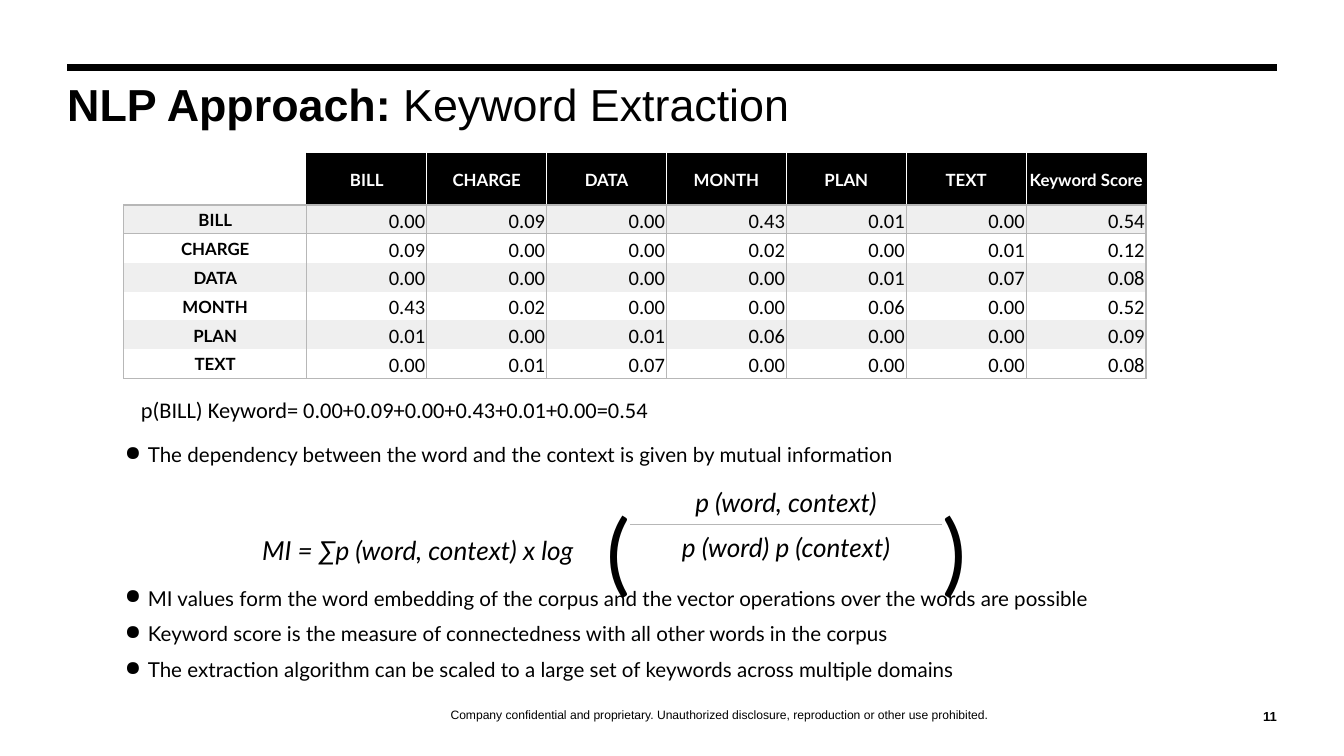
from lxml.etree import SubElement
from pptx import Presentation
from pptx.dml.color import RGBColor
from pptx.enum.shapes import MSO_CONNECTOR
from pptx.enum.text import MSO_ANCHOR, PP_ALIGN
from pptx.oxml.ns import qn
from pptx.util import Pt

PX = 2286  # EMU per px, 400 px to the inch
NO_STYLE = "{2D5ABB26-0587-4C30-8999-92F81FD0307C}"
HEX = {"black": "000000", "white": "FFFFFF", "grey": "B7B7B7", "band": "EFEFEF"}
LEFT, MID, RIGHT = PP_ALIGN.LEFT, PP_ALIGN.CENTER, PP_ALIGN.RIGHT
TOP, CENTER, BOTTOM = MSO_ANCHOR.TOP, MSO_ANCHOR.MIDDLE, MSO_ANCHOR.BOTTOM


def write(par, text, size, font, align=LEFT, bold=False, italic=False, color="black"):
    par.text = text
    par.alignment = align
    face = par.runs[0].font
    face.size, face.name, face.bold, face.italic = Pt(size), font, bold, italic
    face.color.rgb = RGBColor.from_string(HEX[color])


def edge(cell, **sides):
    """Draw cell borders; sides are L, R, T, B in that order, before any fill."""
    props = cell._tc.get_or_add_tcPr()
    for side, color in sides.items():
        line = SubElement(props, qn(f"a:ln{side}"), w=str(Pt(0.75)))
        fill = SubElement(line, qn("a:solidFill"))
        SubElement(fill, qn("a:srgbClr"), val=HEX[color])


prs = Presentation()
prs.slide_width, prs.slide_height = 4000 * PX, 2250 * PX
slide = prs.slides.add_slide(prs.slide_layouts[6])
shapes = slide.shapes

# Rule above the title
rule = shapes.add_connector(MSO_CONNECTOR.STRAIGHT, 200 * PX, 200 * PX, 3800 * PX, 200 * PX)
rule.line.width = Pt(3.75)
rule.line.color.rgb = RGBColor.from_string(HEX["black"])
SubElement(rule.element.spPr, qn("a:effectLst"))

# Text boxes: left, top, width, height, padding, anchor
places = {
    "footer": (584, 2016, 3116, 132, 0, BOTTOM),
    "title": (200, 260, 3100, 300, 0, TOP),
    "number": (3700, 2056, 100, 100, 0, BOTTOM),
    "body": (340, 1316, 3100, 816, 0, TOP),
    "sum": (304, 1160, 1688, 120, 1, TOP),
}
frames = {}
for name, (x, y, w, h, pad, anchor) in places.items():
    frame = shapes.add_textbox(x * PX, y * PX, w * PX, h * PX).text_frame
    frame.word_wrap = True
    frame.vertical_anchor = anchor
    frame.margin_left = frame.margin_right = 40 * pad * PX
    frame.margin_top = frame.margin_bottom = 20 * pad * PX
    frames[name] = frame

par = frames["footer"].paragraphs[0]
write(par, "Company confidential and proprietary. Unauthorized disclosure, "
      "reproduction or other use prohibited.", 6.5, "Arial", MID)
par.line_spacing = 1.14

par = frames["title"].paragraphs[0]
write(par, "NLP Approach: ", 24, "Arial", bold=True)
par.line_spacing = 0.8
run = par.add_run()
run.text = "Keyword Extraction"
run.font.size, run.font.name, run.font.bold = Pt(24), "Arial", False
run.font.color.rgb = RGBColor.from_string(HEX["black"])

write(frames["number"].paragraphs[0], "11", 7, "Arial", RIGHT, bold=True)

par = frames["sum"].paragraphs[0]
write(par, "p(BILL) Keyword= 0.00+0.09+0.00+0.43+0.01+0.00=0.54", 12, "Calibri")
par.space_after = Pt(4)
par._p.get_or_add_pPr().set("marL", str(76 * PX))

# Bullets; the second one leaves room for the formula
points = [
    ("The dependency between the word and the context is given by mutual information", 0),
    ("MI values form the word embedding of the corpus and the vector operations "
     "over the words are possible", 63.6),
    ("Keyword score is the measure of connectedness with all other words in the corpus", 6),
    ("The extraction algorithm can be scaled to a large set of keywords "
     "across multiple domains", 6),
]
body = frames["body"]
for i, (text, gap) in enumerate(points):
    par = body.paragraphs[0] if i == 0 else body.add_paragraph()
    props = par._p.get_or_add_pPr()
    props.set("marL", str(100 * PX))
    props.set("indent", str(-68 * PX))
    tint = SubElement(props, qn("a:buClr"))
    SubElement(tint, qn("a:srgbClr"), val=HEX["black"])
    SubElement(props, qn("a:buChar"), char="●")
    write(par, text, 11, "Lato")
    par.space_before = Pt(gap)

# Both tables: place, column widths, row heights
words = ["BILL", "CHARGE", "DATA", "MONTH", "PLAN", "TEXT"]
grids = []
for x, y, widths, heights in [
    (368, 456, [545] + [357] * 7, [154] + [86] * 6),
    (480, 1396, [1228, 168, 928, 168], [166, 166]),
]:
    item = shapes.add_table(len(heights), len(widths), x * PX, y * PX,
                            sum(widths) * PX, sum(heights) * PX)
    for style in item.element.iter(qn("a:tableStyleId")):
        style.text = NO_STYLE
    grid = item.table
    grid.first_row = grid.horz_banding = False
    for col, width in zip(grid.columns, widths):
        col.width = width * PX
    for row, height in zip(grid.rows, heights):
        row.height = height * PX
    grids.append(grid)
scores, formula = grids

values = [
    [0.00, 0.09, 0.00, 0.43, 0.01, 0.00, 0.54],
    [0.09, 0.00, 0.00, 0.02, 0.00, 0.01, 0.12],
    [0.00, 0.00, 0.00, 0.00, 0.01, 0.07, 0.08],
    [0.43, 0.02, 0.00, 0.00, 0.06, 0.00, 0.52],
    [0.01, 0.00, 0.01, 0.06, 0.00, 0.00, 0.09],
    [0.00, 0.01, 0.07, 0.00, 0.00, 0.00, 0.08],
]
heads = [""] + words + ["Keyword Score"]
rows = [heads] + [[word] + [f"{v:.2f}" for v in line] for word, line in zip(words, values)]
for r, line in enumerate(rows):
    for c, text in enumerate(line):
        cell = scores.cell(r, c)
        cell.margin_left = cell.margin_top = cell.margin_right = 4 * PX
        cell.margin_bottom = 0
        if r == c == 0:
            edge(cell, R="black", B="grey")
            cell.fill.background()
            continue
        if r == 0:
            edge(cell, L="black" if c == 1 else "white",
                 R="black" if c == 7 else "white", T="black", B="grey")
        else:
            sides = {"L": "grey", "R": "grey"}
            if r == 1:
                sides["T"] = "grey"
            if r == len(words):
                sides["B"] = "grey"
            edge(cell, **sides)
        cell.fill.solid()
        shade = "black" if r == 0 else "band" if r % 2 else "white"
        cell.fill.fore_color.rgb = RGBColor.from_string(HEX[shade])
        par = cell.text_frame.paragraphs[0]
        if r and c:
            cell.vertical_anchor = BOTTOM
            write(par, text, 11, "Calibri", RIGHT)
        else:
            cell.vertical_anchor = CENTER
            write(par, text, 9, "Lato", MID, bold=True, color="black" if r else "white")

# Formula: row, column, text, size, align, anchor, border, top and bottom padding
for c in (0, 1, 3):
    formula.cell(0, c).merge(formula.cell(1, c))
for r, c, text, size, align, anchor, sides, top, low in [
    (0, 0, "MI = ∑p (word, context) x log", 14, RIGHT, CENTER, {}, 0, 0),
    (0, 1, "(", 48, RIGHT, CENTER, {}, 0, 0),
    (0, 2, "p (word, context)", 14, MID, BOTTOM, {"B": "grey"}, 0, 20),
    (0, 3, ")", 48, LEFT, CENTER, {}, 0, 0),
    (1, 2, "p (word) p (context)", 14, MID, TOP, {"T": "grey"}, 20, 0),
]:
    cell = formula.cell(r, c)
    edge(cell, **sides)
    cell.fill.background()
    cell.margin_left = cell.margin_right = 0
    cell.margin_top, cell.margin_bottom = top * PX, low * PX
    cell.vertical_anchor = anchor
    write(cell.text_frame.paragraphs[0], text, size, "Lato", align, italic=size == 14)

prs.save("out.pptx")
